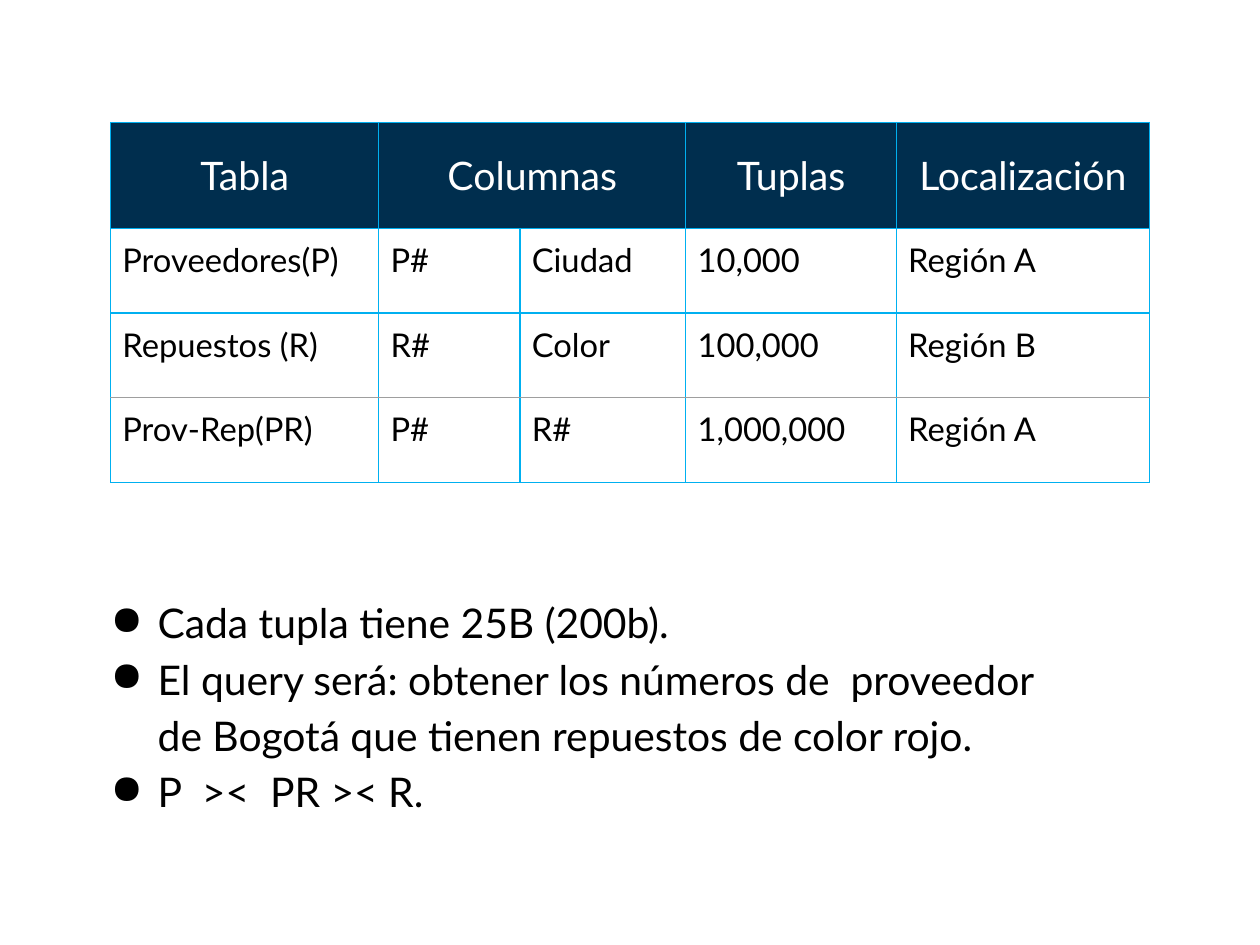
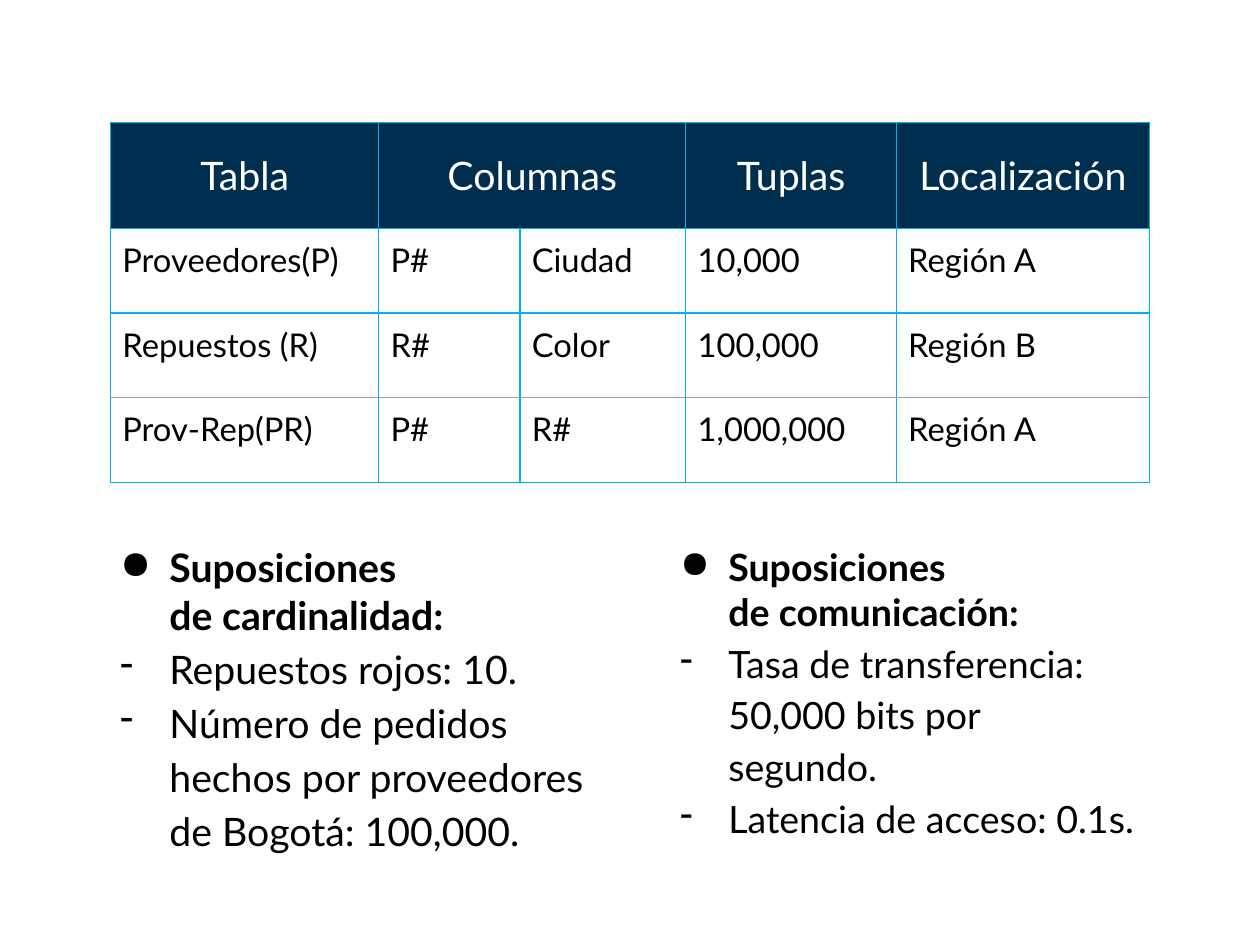
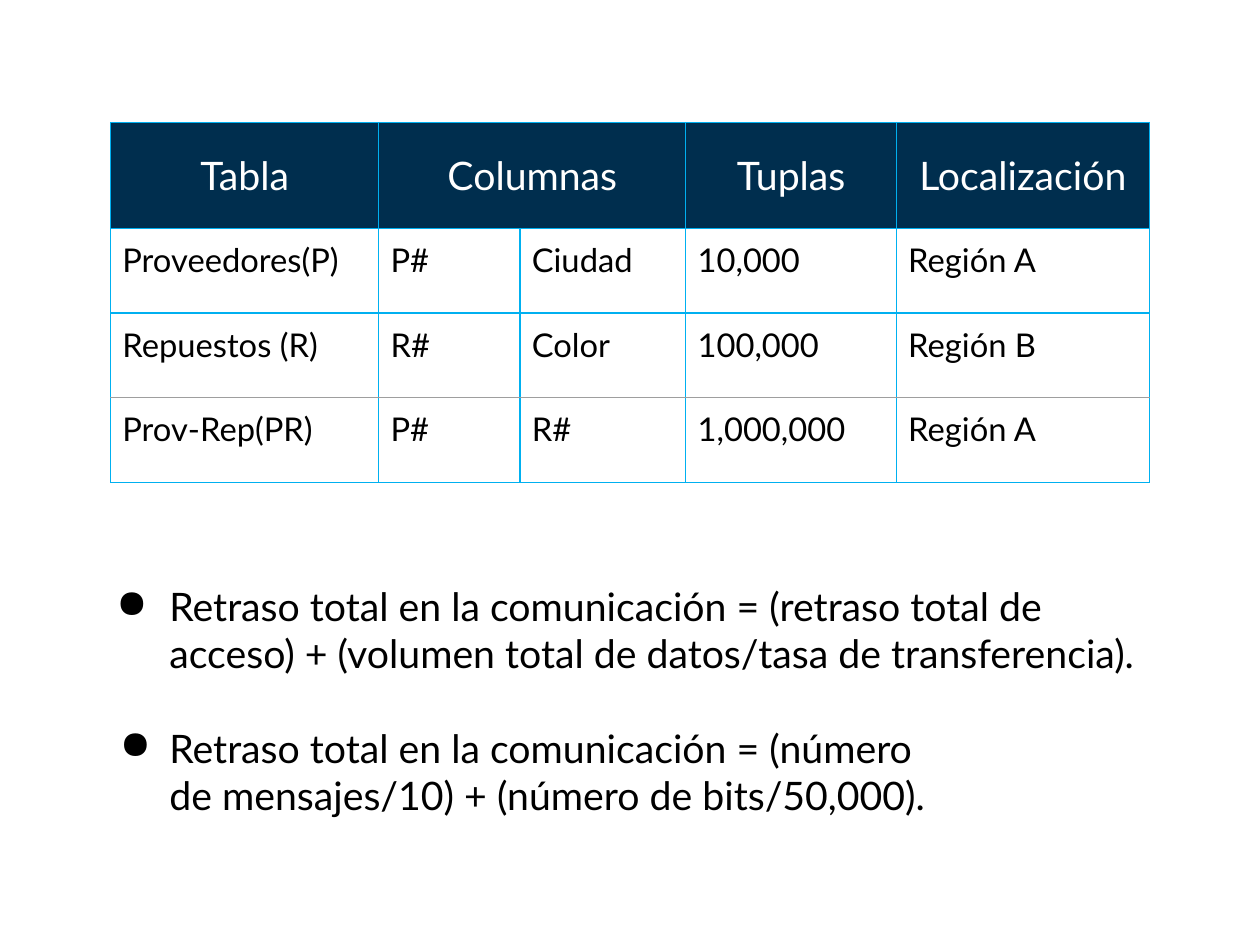
from dataclasses import dataclass

from pptx import Presentation
from pptx.dml.color import RGBColor
from pptx.enum.text import MSO_ANCHOR, PP_ALIGN
from pptx.oxml import parse_xml
from pptx.oxml.ns import nsdecls
from pptx.util import Inches, Pt


@dataclass(frozen=True)
class Theme:
    font: str = "Lato"
    navy: str = "002E4E"
    cyan: str = "00B0F0"
    gray: str = "9E9E9E"
    white: str = "FFFFFF"
    black: str = "000000"
    head: int = 24
    cell: int = 20
    large: int = 25
    body: int = 24
    small: int = 23
    rule: float = 0.75
    lead: float = 1.15


LEFT, TOP = 0.94, 1.04
PAD = 0.1
COLS = [2.28, 1.2, 1.41, 1.79, 2.15]
ROWS = [0.9, 0.72, 0.72, 0.72]
DATA = [
    ["Tabla", "Columnas", "", "Tuplas", "Localización"],
    ["Proveedores(P)", "P#", "Ciudad", "10,000", "Región A"],
    ["Repuestos (R)", "R#", "Color", "100,000", "Región B"],
    ["Prov-Rep(PR)", "P#", "R#", "1,000,000", "Región A"],
]


def assign(item, **vals):
    for key, val in vals.items():
        setattr(item, key, val)


class Deck:
    def __init__(self, theme):
        self.theme = theme
        self.show = Presentation()
        assign(self.show, slide_width=Inches(10.71), slide_height=Inches(8.03))
        self.slide = None

    def page(self):
        """Start a slide with the table that all slides share."""
        self.slide = self.show.slides.add_slide(self.show.slide_layouts[6])
        self.table()

    def style(self, para, size, color, bold=False):
        for run in para.runs:
            assign(run.font, name=self.theme.font, size=Pt(size), bold=bold)
            run.font.color.rgb = RGBColor.from_string(color)

    def edge(self, cell, side, color):
        cell._tc.get_or_add_tcPr().append(parse_xml(
            f'<a:ln{side} {nsdecls("a")} w="{Pt(self.theme.rule)}"><a:solidFill>'
            f'<a:srgbClr val="{color}"/></a:solidFill></a:ln{side}>'))

    def table(self):
        th = self.theme
        frame = self.slide.shapes.add_table(
            len(ROWS), len(COLS), Inches(LEFT), Inches(TOP),
            Inches(sum(COLS)), Inches(sum(ROWS)))
        grid = frame.table
        assign(grid, first_row=False, horz_banding=False)
        for col, width in zip(grid.columns, COLS):
            col.width = Inches(width)
        for row, high in zip(grid.rows, ROWS):
            row.height = Inches(high)
        grid.cell(0, 1).merge(grid.cell(0, 2))
        for r, line in enumerate(DATA):
            for c, text in enumerate(line):
                self.cell(grid.cell(r, c), r, text)

    def cell(self, cell, r, text):
        th = self.theme
        top = r == 0
        for side in "LRTB":
            # The line between the last two rows is gray
            dull = (r, side) in ((2, "B"), (3, "T"))
            self.edge(cell, side, th.gray if dull else th.cyan)
        for side in ("left", "right", "top", "bottom"):
            setattr(cell, f"margin_{side}", Inches(PAD))
        cell.vertical_anchor = MSO_ANCHOR.MIDDLE if top else MSO_ANCHOR.TOP
        if top:
            cell.fill.solid()
            cell.fill.fore_color.rgb = RGBColor.from_string(th.navy)
        else:
            cell.fill.background()
        if text:
            cell.text = text
            para = cell.text_frame.paragraphs[0]
            para.alignment = PP_ALIGN.CENTER if top else PP_ALIGN.LEFT
            self.style(para, th.head if top else th.cell,
                       th.white if top else th.black)

    def bullets(self, place, size, items, indent=0.5, hang=0.42, inset=0.0):
        """Draw a list; each item is its text and a dict of format values."""
        box = self.slide.shapes.add_textbox(*map(Inches, place))
        frame = box.text_frame
        assign(frame, word_wrap=True, margin_left=0, margin_top=Inches(inset),
               margin_right=Inches(PAD), margin_bottom=Inches(PAD))
        for i, (text, form) in enumerate(items):
            para = frame.add_paragraph() if i else frame.paragraphs[0]
            para.text = text
            props = para._p.get_or_add_pPr()
            props.set("marL", str(Inches(indent)))
            props.set("indent", str(-Inches(form.get("hang", hang))))
            props.append(parse_xml(
                f'<a:buClr {nsdecls("a")}><a:srgbClr val="{self.theme.black}"/></a:buClr>'))
            props.append(parse_xml(
                f'<a:buChar {nsdecls("a")} char="{form.get("mark", "●")}"/>'))
            assign(para, line_spacing=form.get("lead", 1.0),
                   space_before=Pt(form.get("gap", 0)))
            self.style(para, size, self.theme.black, form.get("bold", False))


def main():
    th = Theme()
    deck = Deck(th)
    loose = {"lead": th.lead}
    dash = {"lead": th.lead, "mark": "-"}
    bold = {"bold": True}

    # Query
    deck.page()
    deck.bullets((LEFT, 4.92, 8.02, 2.31), th.large, [
        ("Cada tupla tiene 25B (200b).", loose),
        ("El query será: obtener los números de  proveedor de Bogotá "
         "que tienen repuestos de color rojo.", loose),
        ("P  ><  PR >< R.", loose),
    ], indent=0.4, inset=PAD)

    # Assumptions
    deck.page()
    deck.bullets((LEFT, 4.62, 4.68, 2.78), th.body, [
        ("Suposiciones\vde cardinalidad:", bold),
        ("Repuestos rojos: 10.", dash),
        ("Número de pedidos\vhechos por proveedores\vde Bogotá: 100,000.", dash),
    ])
    deck.bullets((5.69, 4.62, 4.08, 2.45), th.small, [
        ("Suposiciones\vde comunicación:", bold),
        ("Tasa de transferencia: 50,000 bits por segundo.", dash),
        ("Latencia de acceso: 0.1s.", dash),
    ], hang=0.41)

    # Total delay
    deck.page()
    deck.bullets((LEFT, 4.95, 8.83, 2.78), th.body, [
        ("Retraso total en la comunicación = (retraso total de acceso) + "
         "(volumen total de datos/tasa de transferencia).", {"hang": 0.45}),
        ("Retraso total en la comunicación = (número\v"
         "de mensajes/10) + (número de bits/50,000).", {"gap": 28.8}),
    ])

    deck.show.save("out.pptx")


if __name__ == "__main__":
    main()
